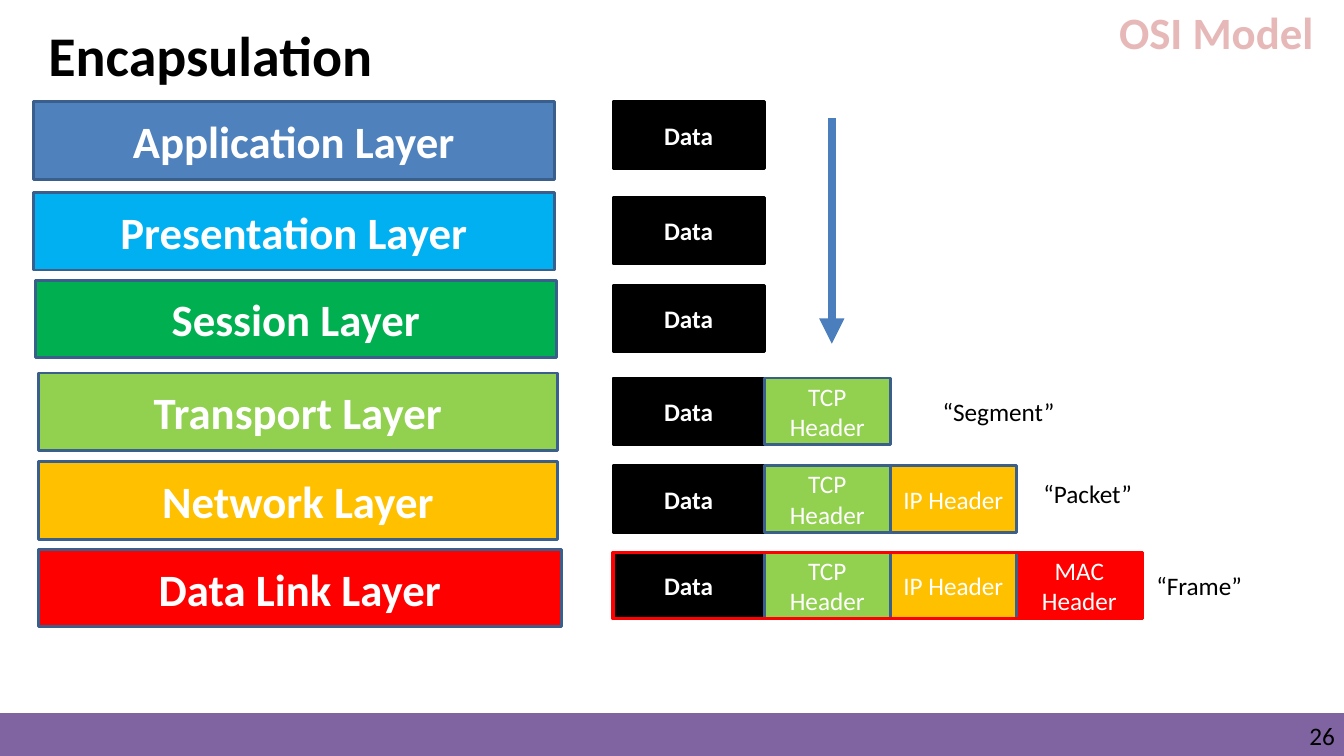
from dataclasses import dataclass

from lxml import etree
from pptx import Presentation
from pptx.dml.color import RGBColor
from pptx.enum.shapes import MSO_CONNECTOR, MSO_SHAPE
from pptx.enum.text import MSO_ANCHOR, MSO_AUTO_SIZE, PP_ALIGN
from pptx.oxml.ns import qn
from pptx.util import Inches, Pt

RECTANGLE = MSO_SHAPE.RECTANGLE
STRAIGHT = MSO_CONNECTOR.STRAIGHT
LEFT, CENTER, RIGHT = PP_ALIGN.LEFT, PP_ALIGN.CENTER, PP_ALIGN.RIGHT
TOP, MIDDLE = MSO_ANCHOR.TOP, MSO_ANCHOR.MIDDLE


@dataclass(frozen=True)
class Theme:
    font: str = "Calibri"
    title_size: int = 40
    layer_size: int = 32
    body_size: int = 18
    black: str = "000000"
    white: str = "FFFFFF"
    blue: str = "4F81BD"
    sky: str = "00B0F0"
    green: str = "00B050"
    lime: str = "92D050"
    amber: str = "FFC000"
    red: str = "FF0000"
    purple: str = "8064A2"
    pink: str = "E6B9B8"
    outline: str = "3A5F8C"
    arrow: str = "4B7EBC"


THEME = Theme()
SLIDE_WIDTH, SLIDE_HEIGHT = 13.33, 7.5
LAYER_HEIGHT = 0.77
UNIT_LEFT, UNIT_HEIGHT = 6.08, 0.66
DATA_WIDTH, HEADER_WIDTH = 1.5, 1.25

# name, colour, box (left, top, width), top of its data unit
LAYERS = [
    ("Application Layer", THEME.blue, (0.33, 1.01, 5.17), 1.01),
    ("Presentation Layer", THEME.sky, (0.33, 1.91, 5.17), 1.96),
    ("Session Layer", THEME.green, (0.35, 2.78, 5.17), 2.83),
    ("Transport Layer", THEME.lime, (0.38, 3.7, 5.15), 3.75),
    ("Network Layer", THEME.amber, (0.38, 4.58, 5.15), 4.62),
    ("Data Link Layer", THEME.red, (0.38, 5.45, 5.19), 5.48),
]
HEADERS = [
    ("TCP Header", THEME.lime),
    ("IP Header", THEME.amber),
    ("MAC Header", THEME.red),
]
FIRST_HEADER_LAYER = 3
UNIT_NAMES = [
    ("“Segment”", (9.25, 3.88, 1.39, 0.4)),
    ("“Packet”", (10.25, 4.7, 1.15, 0.4)),
    ("“Frame”", (11.37, 5.61, 1.1, 0.4)),
]


def rgb(color):
    return RGBColor.from_string(color)


def inches(box):
    return [Inches(length) for length in box]


def write(shape, text, size, color, bold=False, align=LEFT, anchor=TOP):
    frame = shape.text_frame
    frame.word_wrap = True
    frame.auto_size = MSO_AUTO_SIZE.NONE
    frame.vertical_anchor = anchor
    frame.text = text
    paragraph = frame.paragraphs[0]
    paragraph.alignment = align
    font = paragraph.runs[0].font
    font.name, font.size, font.bold = THEME.font, Pt(size), bold
    font.color.rgb = rgb(color)


def add_label(slide, box, text, size, color, **style):
    label = slide.shapes.add_textbox(*inches(box))
    write(label, text, size, color, **style)
    return label


def add_block(slide, box, fill, line, line_width=2):
    """Add a rectangle; a fill of None leaves it hollow."""
    block = slide.shapes.add_shape(RECTANGLE, *inches(box))
    block.shadow.inherit = False
    if fill is None:
        block.fill.background()
    else:
        block.fill.solid()
        block.fill.fore_color.rgb = rgb(fill)
    block.line.color.rgb = rgb(line)
    block.line.width = Pt(line_width)
    return block


def add_heading(slide, box):
    title = slide.shapes.title
    title.left, title.top, title.width, title.height = inches(box)
    write(title, "Encapsulation", THEME.title_size, THEME.black, bold=True)


def add_footer(slide, box):
    left, top, width, height = box
    add_block(slide, box, THEME.purple, THEME.purple, 1)
    number_box = (left + width - 3.16, top + 0.07, 3.07, 0.3)
    number = add_label(slide, number_box, "26", THEME.body_size, THEME.black,
                       align=RIGHT)
    frame = number.text_frame
    frame.margin_left = frame.margin_right = 0
    frame.margin_top = frame.margin_bottom = 0


def add_layer(slide, box, name, color):
    layer = add_block(slide, box, color, THEME.outline)
    write(layer, name, THEME.layer_size, THEME.white, True, CENTER, MIDDLE)


def add_data_unit(slide, left, top, headers):
    """Add the data block followed by the headers wrapped around it."""
    data = add_block(slide, (left, top, DATA_WIDTH, UNIT_HEIGHT),
                     THEME.black, THEME.black)
    write(data, "Data", THEME.body_size, THEME.white, True, CENTER, MIDDLE)
    for position, (name, color) in enumerate(headers):
        header_left = left + DATA_WIDTH + position * HEADER_WIDTH
        header = add_block(slide, (header_left, top, HEADER_WIDTH, UNIT_HEIGHT),
                           color, THEME.outline)
        write(header, name, THEME.body_size, THEME.white, False, CENTER, MIDDLE)


def add_down_arrow(slide, x, top, bottom):
    arrow = slide.shapes.add_connector(STRAIGHT, *inches((x, top, x, bottom)))
    arrow.line.color.rgb = rgb(THEME.arrow)
    arrow.line.width = Pt(6)
    etree.SubElement(arrow.line._get_or_add_ln(), qn("a:tailEnd"),
                     type="triangle")
    etree.SubElement(arrow._element.spPr, qn("a:effectLst"))


def add_encapsulation(slide):
    for index, (name, color, (left, top, width), unit_top) in enumerate(LAYERS):
        add_layer(slide, (left, top, width, LAYER_HEIGHT), name, color)
        header_count = max(0, index - FIRST_HEADER_LAYER + 1)
        add_data_unit(slide, UNIT_LEFT, unit_top, HEADERS[:header_count])
    add_down_arrow(slide, 8.25, 1.17, 3.41)
    for name, box in UNIT_NAMES:
        add_label(slide, box, name, THEME.body_size, THEME.black)
    frame_top = LAYERS[-1][-1]
    frame_width = DATA_WIDTH + len(HEADERS) * HEADER_WIDTH
    add_block(slide, (UNIT_LEFT, frame_top, frame_width, UNIT_HEIGHT),
              None, THEME.red, 2.25)


def main():
    presentation = Presentation()
    presentation.slide_width = Inches(SLIDE_WIDTH)
    presentation.slide_height = Inches(SLIDE_HEIGHT)
    title_only = presentation.slide_layouts[5]
    slide = presentation.slides.add_slide(title_only)
    add_heading(slide, (0.38, 0.15, 4.03, 0.77))
    add_footer(slide, (0, 7.08, SLIDE_WIDTH, 0.42))
    add_label(slide, (11, 0, 2.39, 0.64), "OSI Model", THEME.layer_size,
              THEME.pink, bold=True)
    add_encapsulation(slide)
    presentation.save("out.pptx")


if __name__ == "__main__":
    main()
